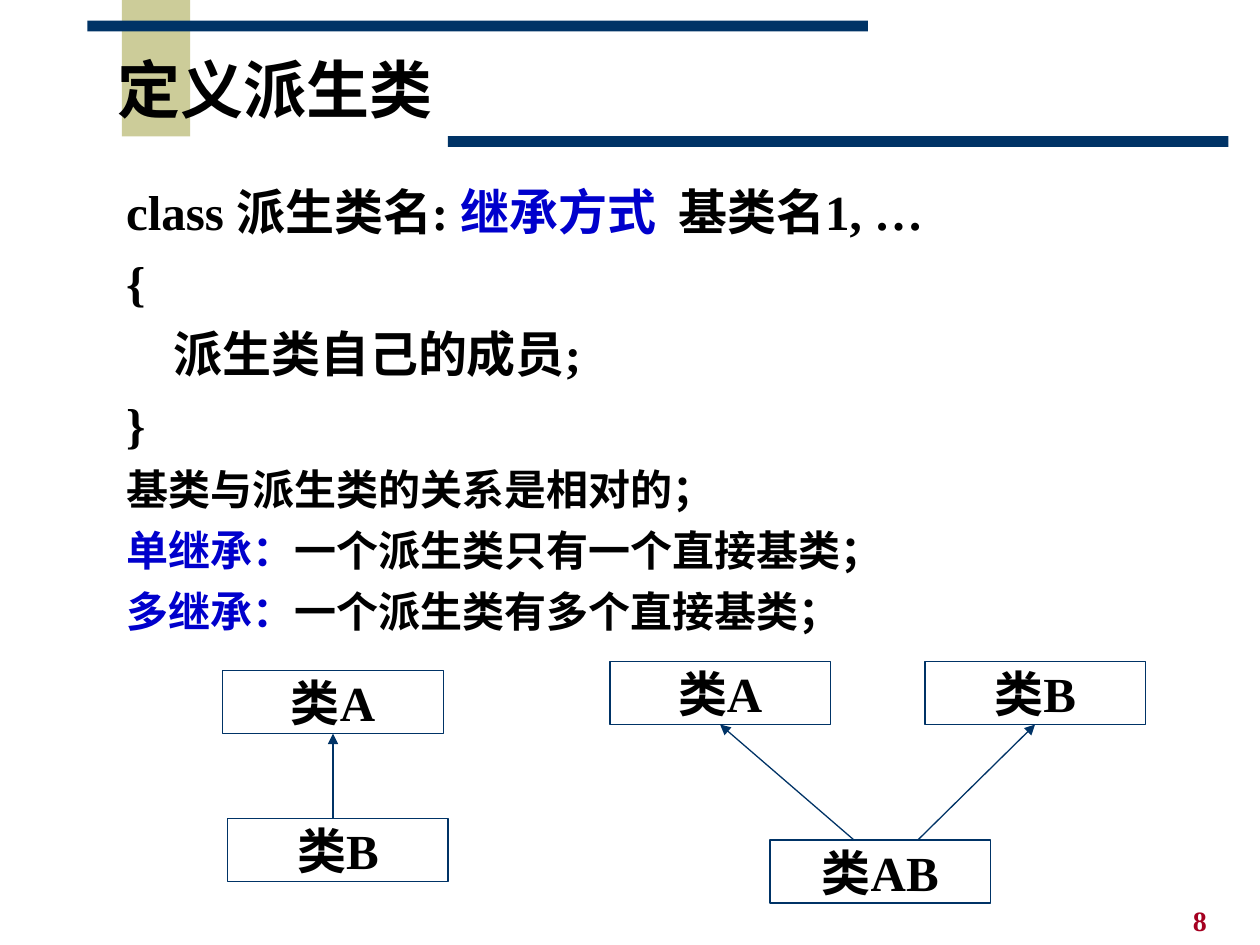
from dataclasses import dataclass

from lxml import etree
from pptx import Presentation
from pptx.dml.color import RGBColor
from pptx.enum.shapes import MSO_CONNECTOR, MSO_SHAPE
from pptx.enum.text import MSO_ANCHOR, PP_ALIGN
from pptx.oxml.ns import qn
from pptx.util import Pt

RECT = MSO_SHAPE.RECTANGLE
STRAIGHT = MSO_CONNECTOR.STRAIGHT
MIDDLE = MSO_ANCHOR.MIDDLE
CENTER = PP_ALIGN.CENTER
BOTTOM_SITE = 2


@dataclass(frozen=True)
class Theme:
    font: str = "Times New Roman"
    text: RGBColor = RGBColor(0x00, 0x00, 0x00)
    accent: RGBColor = RGBColor(0x00, 0x00, 0xCC)
    navy: RGBColor = RGBColor(0x00, 0x33, 0x66)
    khaki: RGBColor = RGBColor(0xCC, 0xCC, 0x99)
    number: RGBColor = RGBColor(0xA5, 0x00, 0x21)
    title_size: int = 36
    code_size: int = 28
    note_size: int = 24
    number_size: int = 16
    line_width: float = 0.75


THEME = Theme()
NODE_W, NODE_H = 126, 36


def points(*values):
    return [Pt(v) for v in values]


def add_run(p, text, size, color=THEME.text):
    r = p.add_run()
    r.text = text
    r.font.name = THEME.font
    r.font.size = Pt(size)
    r.font.bold = True
    r.font.color.rgb = color


def add_text_frame(slide, box):
    tf = slide.shapes.add_textbox(*points(*box)).text_frame
    tf.word_wrap = True
    return tf


def add_bar(slide, box, color):
    sp = slide.shapes.add_shape(RECT, *points(*box))
    sp.shadow.inherit = False
    sp.fill.solid()
    sp.fill.fore_color.rgb = color
    sp.line.fill.background()


def add_title(slide, box, text):
    tf = add_text_frame(slide, box)
    tf.vertical_anchor = MIDDLE
    p = tf.paragraphs[0]
    p.line_spacing = 0.85
    add_run(p, text, THEME.title_size)


def add_body(slide, box, lines):
    """Write lines of (size, space before, left indent, [(text, colour)])."""
    tf = add_text_frame(slide, box)
    for i, (size, gap, indent, parts) in enumerate(lines):
        p = tf.add_paragraph() if i else tf.paragraphs[0]
        p.space_before = Pt(gap if i else 0)
        if indent:
            p._p.get_or_add_pPr().set("marL", str(Pt(indent)))
        for text, color in parts:
            add_run(p, text, size, color)


def add_number(slide, box, text):
    p = add_text_frame(slide, box).paragraphs[0]
    add_run(p, text, THEME.number_size, THEME.number)


def add_node(slide, left, top, text):
    sp = slide.shapes.add_shape(RECT, *points(left, top, NODE_W, NODE_H))
    sp.shadow.inherit = False
    sp.fill.background()
    sp.line.color.rgb = THEME.navy
    sp.line.width = Pt(THEME.line_width)
    tf = sp.text_frame
    tf.word_wrap = False
    tf.vertical_anchor = MIDDLE
    p = tf.paragraphs[0]
    p.alignment = CENTER
    add_run(p, text, THEME.code_size)
    return sp


def add_arrow(slide, x, y, base):
    """Point from (x, y) to the middle of the base class's lower side."""
    line = slide.shapes.add_connector(STRAIGHT, *points(x, y, x, y))
    line.end_connect(base, BOTTOM_SITE)
    line.line.color.rgb = THEME.navy
    line.line.width = Pt(THEME.line_width)
    etree.SubElement(line.line._get_or_add_ln(), qn("a:tailEnd"), type="triangle")
    etree.SubElement(line._element.spPr, qn("a:effectLst"))


def add_inheritance(slide, left, top, bases, derived):
    """Draw bases as (dx, name, arrow dx) and derived as (dx, dy, name)."""
    dx, dy, name = derived
    add_node(slide, left + dx, top + dy, name)
    for base_dx, base_name, arrow_dx in bases:
        base = add_node(slide, left + base_dx, top, base_name)
        add_arrow(slide, left + arrow_dx, top + dy, base)


def main():
    prs = Presentation()
    prs.slide_width, prs.slide_height = Pt(720), Pt(540)
    slide = prs.slides.add_slide(prs.slide_layouts[6])

    add_bar(slide, (69.7, 0, 39, 78), THEME.khaki)
    for left, top in ((50, 11.8), (256, 77.8)):
        add_bar(slide, (left, top, 446, 6.2), THEME.navy)
    add_title(slide, (60, 18, 629, 72), "定义派生类")

    code, note = (THEME.code_size, 7), (THEME.note_size, 6)
    black, blue = THEME.text, THEME.accent
    add_body(slide, (65, 100, 655, 305), [
        (*code, 0, [("class 派生类名: ", black), ("继承方式", blue),
                    ("  基类名1, …", black)]),
        (*code, 0, [("{", black)]),
        (*code, 27, [("派生类自己的成员;", black)]),
        (*code, 0, [("}", black)]),
        (*note, 0, [("基类与派生类的关系是相对的；", black)]),
        (*note, 0, [("单继承：", blue), ("一个派生类只有一个直接基类；", black)]),
        (*note, 0, [("多继承：", blue), ("一个派生类有多个直接基类；", black)]),
    ])

    add_inheritance(slide, 127.3, 383.3, [(0, "类A", 63)], (2.8, 84.3, "类B"))
    add_inheritance(slide, 348.5, 378,
                    [(0, "类A", 139.5), (180, "类B", 176)],
                    (91.5, 102, "类AB"))
    add_number(slide, (674.6, 513, 45.4, 27), "8")
    prs.save("out.pptx")


if __name__ == "__main__":
    main()
